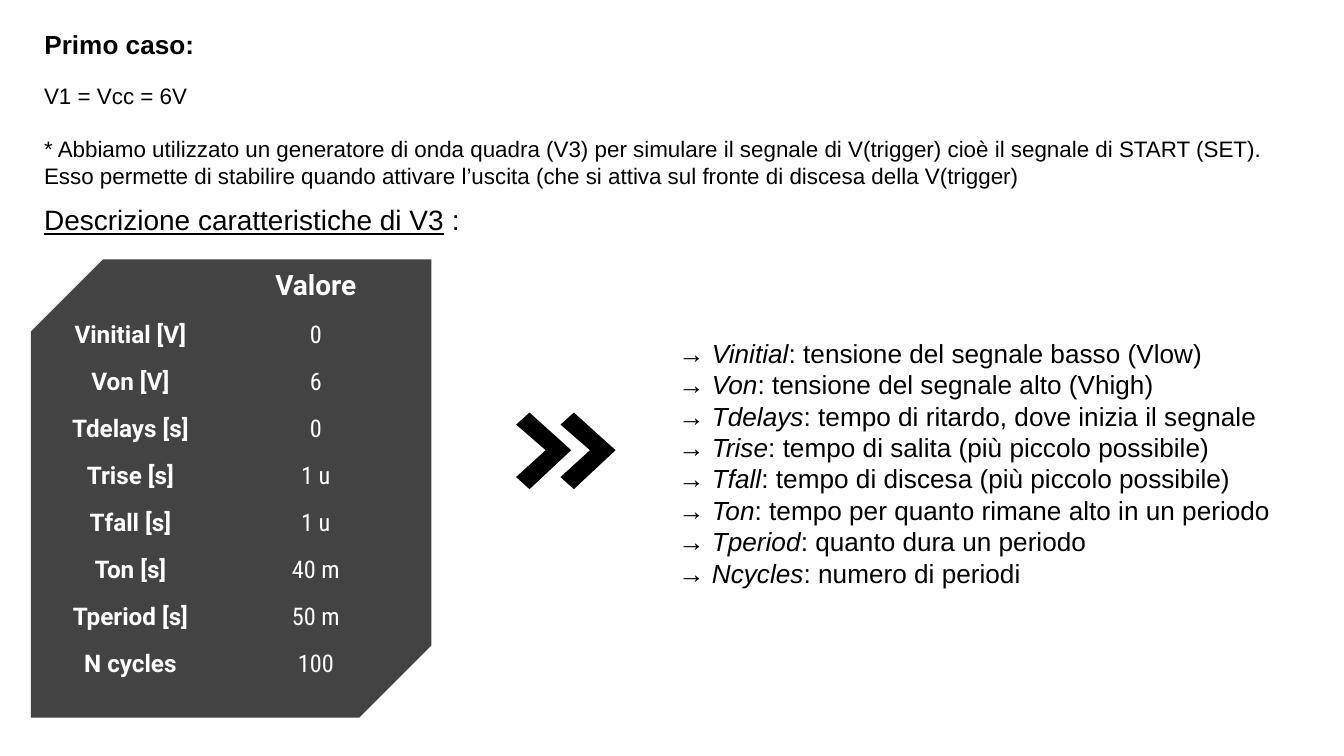
"""Build the slide on the first case and the parameters of generator V3."""
from dataclasses import dataclass

import pptx
import pptx.dml.color
import pptx.enum.shapes
import pptx.enum.text
import pptx.util
from pptx.util import Inches

BLACK = pptx.dml.color.RGBColor(0x00, 0x00, 0x00)
WHITE = pptx.dml.color.RGBColor(0xFF, 0xFF, 0xFF)
CHARCOAL = pptx.dml.color.RGBColor(0x43, 0x43, 0x43)
NO_TABLE_STYLE = "{2D5ABB26-0587-4C30-8999-92F81FD0307C}"


@dataclass(frozen=True)
class Parameter:
    label: str
    value: str
    name: str
    meaning: str


PARAMETERS = [
    Parameter("Vinitial [V]", "0", "Vinitial", "tensione del segnale basso (Vlow)"),
    Parameter("Von [V]", "6", "Von", "tensione del segnale alto (Vhigh)"),
    Parameter("Tdelays [s]", "0", "Tdelays", "tempo di ritardo, dove inizia il segnale"),
    Parameter("Trise [s]", "1 u", "Trise", "tempo di salita (più piccolo possibile)"),
    Parameter("Tfall [s]", "1 u", "Tfall", "tempo di discesa (più piccolo possibile)"),
    Parameter("Ton [s]", "40 m", "Ton", "tempo per quanto rimane alto in un periodo"),
    Parameter("Tperiod [s]", "50 m", "Tperiod", "quanto dura un periodo"),
    Parameter("N cycles", "100", "Ncycles", "numero di periodi"),
]
NOTES = [
    "V1 = Vcc = 6V",
    "* Abbiamo utilizzato un generatore di onda quadra (V3) per simulare "
    "il segnale di V(trigger) cioè il segnale di START (SET).",
    "Esso permette di stabilire quando attivare l’uscita "
    "(che si attiva sul fronte di discesa della V(trigger)",
]


def add_span(para, text: str, *, size: float, font: str = "Arial", color=BLACK,
             bold: bool = False, italic: bool = False, underline: bool = False) -> None:
    span = para.add_run()
    span.text = text
    span.font.name = font
    span.font.size = pptx.util.Pt(size)
    span.font.color.rgb = color
    span.font.bold = bold
    span.font.italic = italic
    span.font.underline = underline


def format_frame(frame) -> None:
    frame.word_wrap = True
    frame.auto_size = pptx.enum.text.MSO_AUTO_SIZE.NONE
    frame.vertical_anchor = pptx.enum.text.MSO_ANCHOR.TOP
    frame.margin_left = frame.margin_right = Inches(0.1)
    frame.margin_top = frame.margin_bottom = Inches(0.1)


def add_box(page, left: float, top: float, width: float, height: float,
            lines: int = 1) -> list:
    box = page.shapes.add_textbox(Inches(left), Inches(top), Inches(width), Inches(height))
    frame = box.text_frame
    format_frame(frame)
    for _ in range(lines - 1):
        frame.add_paragraph()
    return list(frame.paragraphs)


def set_title(page, text: str) -> None:
    title = page.shapes.title
    title.left, title.top = Inches(0.23), Inches(0.11)
    title.width, title.height = Inches(1.85), Inches(0.39)
    format_frame(title.text_frame)
    para = title.text_frame.paragraphs[0]
    para.alignment = pptx.enum.text.PP_ALIGN.LEFT
    add_span(para, text, size=14, bold=True)


def add_panel(page) -> None:
    panel = page.shapes.add_shape(
        pptx.enum.shapes.MSO_SHAPE.SNIP_2_DIAG_RECTANGLE,
        Inches(0.23), Inches(1.93), Inches(2.98), Inches(3.41))
    panel.adjustments[0] = 0.18
    panel.adjustments[1] = 0
    panel.shadow.inherit = False
    panel.fill.solid()
    panel.fill.fore_color.rgb = CHARCOAL
    panel.line.fill.background()


def fill_cell(cell, text: str, *, size: float, font: str, bold: bool) -> None:
    cell.fill.background()
    cell.vertical_anchor = pptx.enum.text.MSO_ANCHOR.MIDDLE
    cell.margin_left = Inches(0.1)
    cell.margin_right = cell.margin_top = cell.margin_bottom = 0
    para = cell.text_frame.paragraphs[0]
    para.alignment = pptx.enum.text.PP_ALIGN.CENTER
    if text:
        add_span(para, text, size=size, font=font, color=WHITE, bold=bold)


def add_values(page) -> None:
    rows = [("", "Valore")] + [(item.label, item.value) for item in PARAMETERS]
    table = page.shapes.add_table(
        len(rows), 2, Inches(0.23), Inches(1.93), Inches(2.76), Inches(3.19)).table
    table.first_row = table.horz_banding = False
    table._tbl.tblPr[0].text = NO_TABLE_STYLE
    for column in table.columns:
        column.width = Inches(1.38)
    for index, texts in enumerate(rows):
        header = index == 0
        table.rows[index].height = Inches(0.39 if header else 0.35)
        for column, text in enumerate(texts):
            strong = header or column == 0
            fill_cell(table.cell(index, column), text, size=15 if header else 13,
                      font="Roboto" if strong else "Roboto Condensed", bold=strong)


def add_chevron(group, left: float) -> None:
    top, middle, bottom = 3.07, 3.35, 3.64
    points = [(left + 0.1, top), (left, top + 0.09), (left + 0.22, middle),
              (left, bottom - 0.09), (left + 0.1, bottom), (left + 0.41, middle)]
    corners = [(Inches(x), Inches(y)) for x, y in points]
    builder = group.shapes.build_freeform(*corners[0])
    builder.add_line_segments(corners[1:], close=True)
    chevron = builder.convert_to_shape()
    chevron.shadow.inherit = False
    chevron.fill.solid()
    chevron.fill.fore_color.rgb = BLACK
    chevron.line.fill.background()


def main() -> None:
    deck = pptx.Presentation()
    deck.slide_width = Inches(10)
    deck.slide_height = deck.slide_width * 9 // 16
    page = deck.slides.add_slide(deck.slide_layouts.get_by_name("Title Only"))
    set_title(page, "Primo caso:")

    notes = add_box(page, 0.23, 0.51, 9.56, 0.9, len(NOTES))
    for para, text in zip(notes, NOTES):
        add_span(para, text, size=12)
    notes[1].space_before = pptx.util.Pt(14)

    meanings = add_box(page, 4.95, 2.41, 4.97, 2.21, len(PARAMETERS))
    for para, item in zip(meanings, PARAMETERS):
        add_span(para, f"→ {item.name}", size=14, italic=True)
        add_span(para, f": {item.meaning}", size=14)

    heading = add_box(page, 0.23, 1.41, 3.72, 0.53)[0]
    add_span(heading, "Descrizione caratteristiche di V3", size=15, underline=True)
    add_span(heading, " :", size=15)

    add_panel(page)
    add_values(page)
    chevrons = page.shapes.add_group_shape()
    for left in (3.84, 4.17):
        add_chevron(chevrons, left)
    deck.save("out.pptx")


if __name__ == "__main__":
    main()
